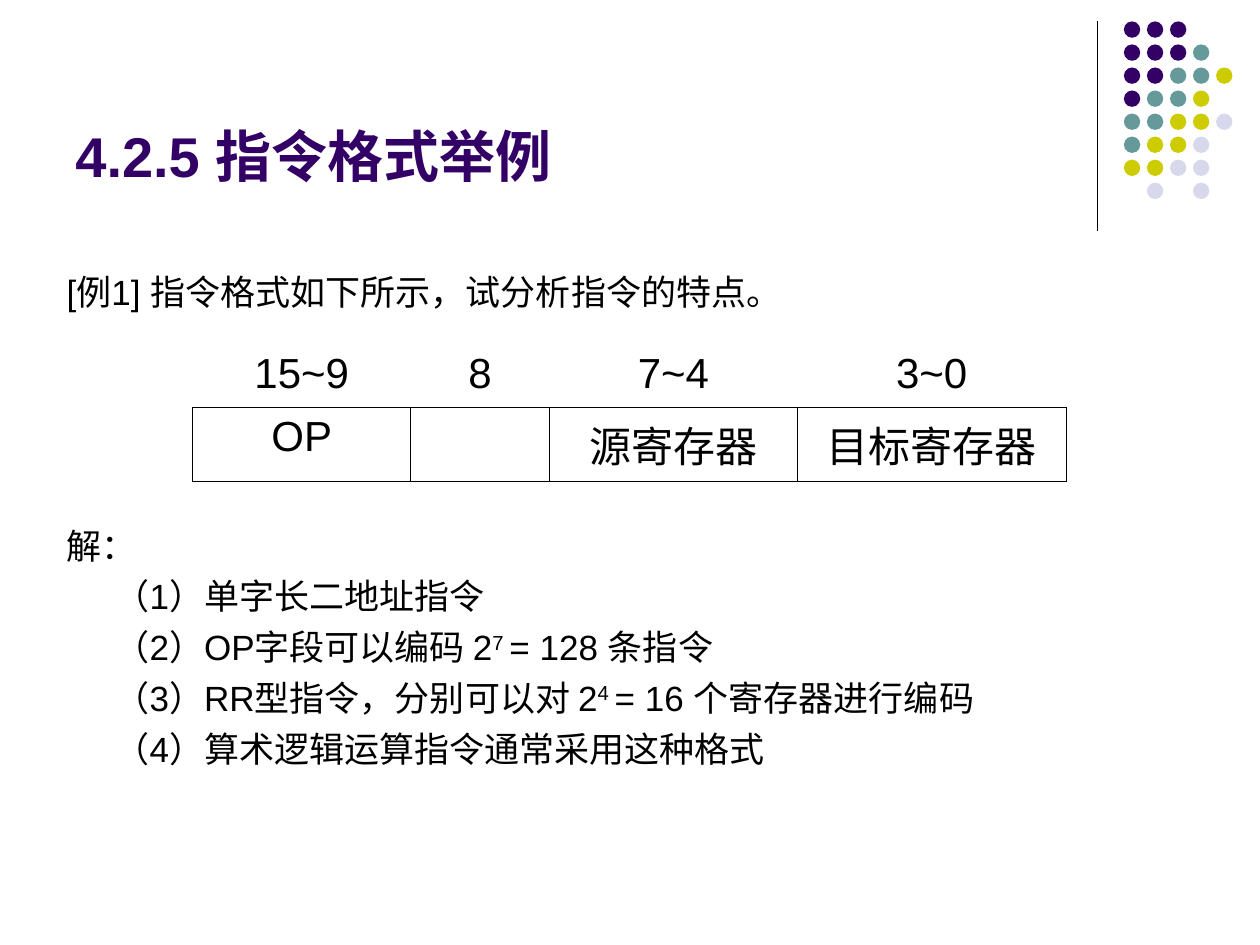
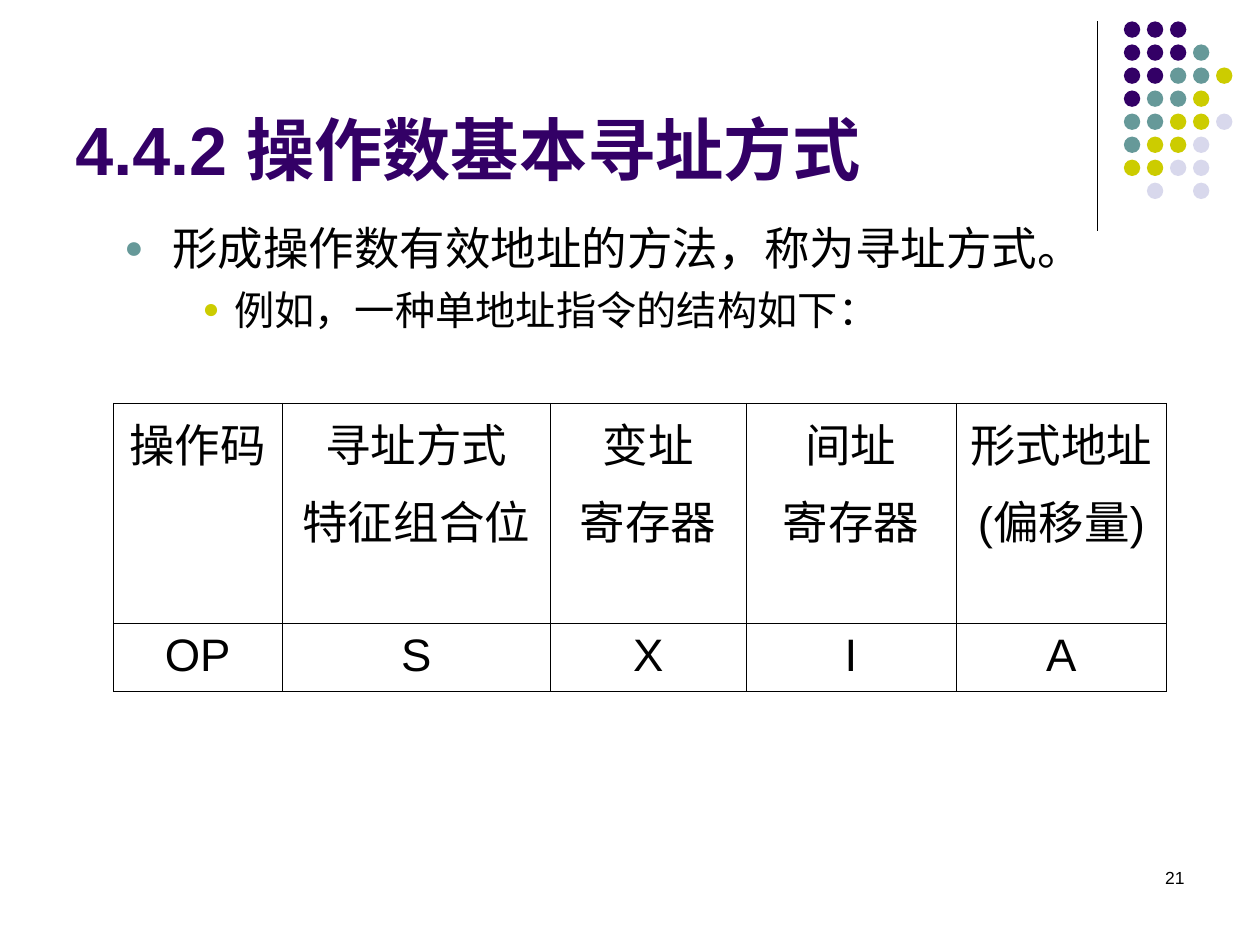
import dataclasses

import pptx
import pptx.dml.color
import pptx.enum.shapes
import pptx.enum.text
import pptx.oxml.ns
import pptx.presentation
import pptx.slide
import pptx.table
import pptx.text.text
import pptx.util
from lxml import etree
from pptx.util import Inches

FONT = "Arial"
PURPLE, TEAL, OLIVE, LILAC = "330066", "669999", "CCCC00", "D8D8EC"
BLACK = "000000"
DOT_COLORS = {"P": PURPLE, "T": TEAL, "O": OLIVE, "L": LILAC}
DOT_ROWS = ["PPP", "PPPT", "PPTTO", "PTTO", "TTOOL", "TOOL", "OOLL", " L L"]
DOT_STEP = Inches(1.28) / 7
DOT_SIZE = Inches(0.13)
CENTER = pptx.enum.text.PP_ALIGN.CENTER
RIGHT = pptx.enum.text.PP_ALIGN.RIGHT


@dataclasses.dataclass
class Area:
    left: float
    top: float
    width: float
    height: float

    def lengths(self) -> list[int]:
        return [Inches(n) for n in dataclasses.astuple(self)]


@dataclasses.dataclass
class Grid:
    left: float
    top: float
    columns: list[float]
    rows: list[float]
    cells: list[list[str]]
    size: float
    before: float
    open_header: bool = False


TITLE_AREA = Area(0.5, 0.13, 8.25, 1.42)

INSTRUCTION_FORMAT = Grid(
    1.53, 2.73, [1.73, 1.1, 1.97, 2.13], [0.5, 0.59],
    [["15~9", "8", "7~4", "3~0"], ["OP", "", "源寄存器", "目标寄存器"]],
    size=24, before=6, open_header=True,
)
ADDRESS_FORMAT = Grid(
    0.9, 3.2, [1.34, 2.13, 1.55, 1.67, 1.67], [1.75, 0.54],
    [
        ["操作码", "寻址方式\n特征组合位", "变址\n寄存器", "间址\n寄存器", "形式地址\n(偏移量)"],
        ["OP", "S", "X", "I", "A"],
    ],
    size=26, before=6.5,
)
SOLUTION_STEPS = [
    "（1）单字长二地址指令",
    "（2）OP字段可以编码 2^7 ^= 128 条指令",
    "（3）RR型指令，分别可以对 2^4 ^= 16 个寄存器进行编码",
    "（4）算术逻辑运算指令通常采用这种格式",
]


def rgb(value: str) -> pptx.dml.color.RGBColor:
    return pptx.dml.color.RGBColor.from_string(value)


def add_element(parent, tag: str, **attributes: str):
    element = etree.SubElement(parent, pptx.oxml.ns.qn(tag))
    for name, value in attributes.items():
        element.set(name, value)
    return element


def write(frame: pptx.text.text.TextFrame, text: str, *, size: float, color: str = BLACK,
          bold: bool = False, align=None, margin: float = 0, indent: float = 0,
          before: float = 0, bullet: str = "") -> None:
    """Append one paragraph per line; text between carets is superscript."""
    for line in text.split("\n"):
        first = not frame.paragraphs[0].runs
        para = frame.paragraphs[0] if first else frame.add_paragraph()
        properties = para._p.get_or_add_pPr()
        properties.set("marL", str(Inches(margin)))
        properties.set("indent", str(Inches(indent)))
        if bullet:
            add_element(add_element(properties, "a:buClr"), "a:srgbClr", val=bullet)
            add_element(properties, "a:buSzPct", val="70000")
            add_element(properties, "a:buFont", typeface=FONT)
            add_element(properties, "a:buChar", char="●")
        para.alignment = align
        para.space_before = pptx.util.Pt(0 if first else before)
        for index, piece in enumerate(line.split("^")):
            span = para.add_run()
            span.text = piece
            span.font.name = FONT
            span.font.size = pptx.util.Pt(size)
            span.font.bold = bold
            span.font.color.rgb = rgb(color)
            if index % 2:
                span._r.get_or_add_rPr().set("baseline", "30000")


def add_frame(page: pptx.slide.Slide, area: Area) -> pptx.text.text.TextFrame:
    frame = page.shapes.add_textbox(*area.lengths()).text_frame
    frame.word_wrap = True
    return frame


def add_decoration(page: pptx.slide.Slide) -> None:
    rule = page.shapes.add_connector(
        pptx.enum.shapes.MSO_CONNECTOR.STRAIGHT,
        Inches(8.71), Inches(0.17), Inches(8.71), Inches(1.83))
    rule.line.color.rgb = rgb(BLACK)
    rule.line.width = pptx.util.Pt(0.75)
    add_element(rule._element.spPr, "a:effectLst")
    dots = page.shapes.add_group_shape()
    for row, pattern in enumerate(DOT_ROWS):
        for column, key in enumerate(pattern):
            if key == " ":
                continue
            dot = dots.shapes.add_shape(
                pptx.enum.shapes.MSO_SHAPE.OVAL,
                round(Inches(8.92) + column * DOT_STEP),
                round(Inches(0.17) + row * DOT_STEP), DOT_SIZE, DOT_SIZE)
            dot.shadow.inherit = False
            dot.fill.solid()
            dot.fill.fore_color.rgb = rgb(DOT_COLORS[key])
            dot.line.fill.background()


def add_page(deck: pptx.presentation.Presentation, title: str, size: float) -> pptx.slide.Slide:
    page = deck.slides.add_slide(deck.slide_layouts[6])
    add_decoration(page)
    frame = add_frame(page, TITLE_AREA)
    frame.vertical_anchor = pptx.enum.text.MSO_ANCHOR.BOTTOM
    write(frame, title, size=size, color=PURPLE, bold=True)
    return page


def set_borders(cell: pptx.table._Cell, sides: str) -> None:
    properties = cell._tc.get_or_add_tcPr()
    for side in "LRTB":
        border = add_element(properties, f"a:ln{side}", w=str(pptx.util.Pt(0.45)))
        if side in sides:
            add_element(add_element(border, "a:solidFill"), "a:srgbClr", val=BLACK)
        else:
            add_element(border, "a:noFill")


def add_grid(page: pptx.slide.Slide, grid: Grid) -> None:
    area = Area(grid.left, grid.top, sum(grid.columns), sum(grid.rows))
    table = page.shapes.add_table(len(grid.rows), len(grid.columns), *area.lengths()).table
    table.first_row = False
    table.horz_banding = False
    for column, width in zip(table.columns, grid.columns):
        column.width = Inches(width)
    for index, (row, height) in enumerate(zip(table.rows, grid.rows)):
        row.height = Inches(height)
        for cell, text in zip(row.cells, grid.cells[index]):
            set_borders(cell, "B" if grid.open_header and index == 0 else "LRTB")
            cell.fill.background()
            if text:
                write(cell.text_frame, text, size=grid.size, align=CENTER, before=grid.before)


def build_format_example(deck: pptx.presentation.Presentation) -> None:
    page = add_page(deck, "4.2.5 指令格式举例", 32)
    question = add_frame(page, Area(0.43, 2.1, 8.58, 0.5))
    write(question, "[例1] 指令格式如下所示，试分析指令的特点。", size=20)
    solution = add_frame(page, Area(0.43, 4.11, 8.58, 2.72))
    write(solution, "解：", size=20)
    for step in SOLUTION_STEPS:
        write(solution, step, size=20, margin=0.38, before=5)
    add_grid(page, INSTRUCTION_FORMAT)


def build_addressing(deck: pptx.presentation.Presentation) -> None:
    page = add_page(deck, "4.4.2 操作数基本寻址方式", 39)
    number = add_frame(page, Area(7.17, 6.83, 2.33, 0.5))
    write(number, "21", size=10, align=RIGHT)
    body = add_frame(page, Area(0.51, 1.7, 8.9, 4.88))
    write(body, "形成操作数有效地址的方法，称为寻址方式。", size=26,
          margin=0.76, indent=-0.38, bullet=TEAL)
    write(body, "例如，一种单地址指令的结构如下：", size=23,
          margin=1.25, indent=-0.25, before=5.8, bullet=OLIVE)
    add_grid(page, ADDRESS_FORMAT)


def main() -> None:
    deck = pptx.Presentation()
    deck.slide_width = Inches(10)
    deck.slide_height = Inches(7.5)
    build_format_example(deck)
    build_addressing(deck)
    deck.save("out.pptx")


if __name__ == "__main__":
    main()
